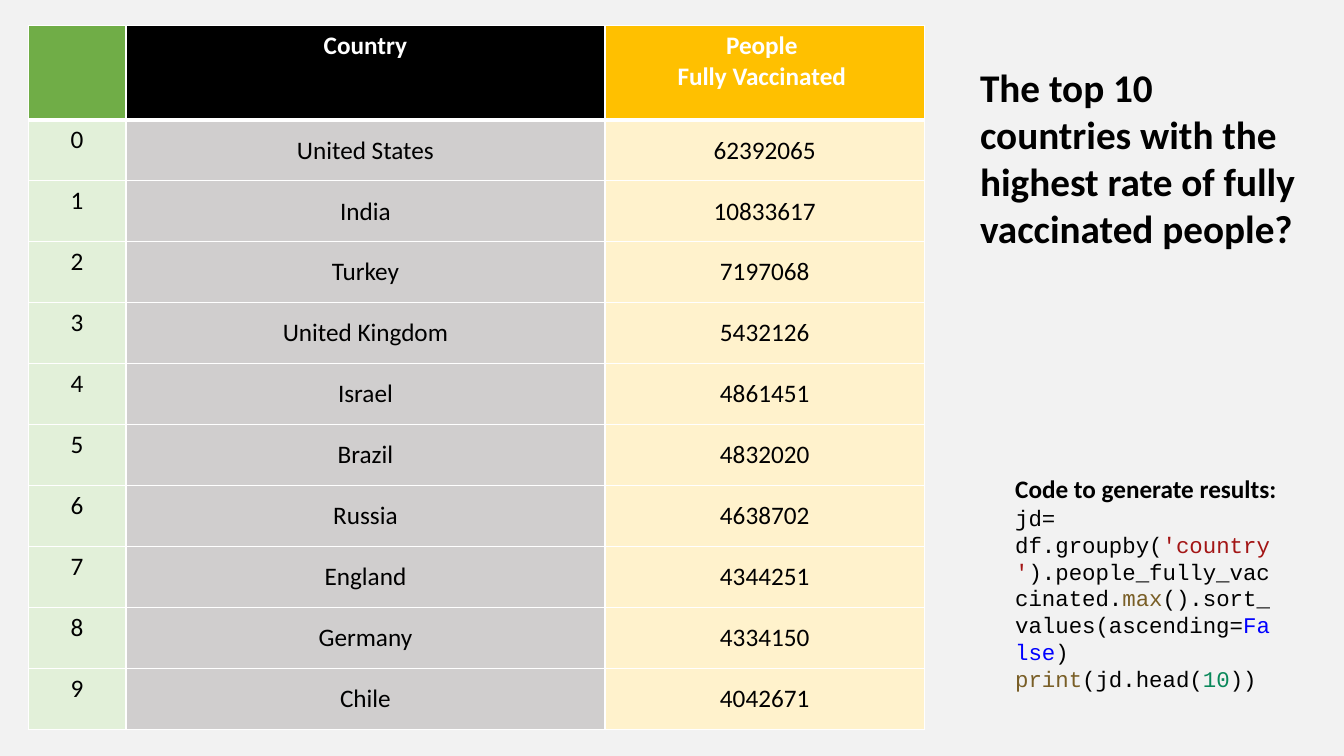
import pptx
import pptx.util
import pptx.dml.color
import pptx.enum.text
import pptx.oxml
import pptx.oxml.ns

Inches = pptx.util.Inches
ALIGN = pptx.enum.text.PP_ALIGN
ANCHOR = pptx.enum.text.MSO_ANCHOR

COLORS = {
    "background": "F2F2F2", "white": "FFFFFF", "black": "000000",
    "green": "70AD47", "gold": "FFC000",
    "pale green": "E2F0D9", "gray": "D0CECE", "pale gold": "FFF2CC",
    "string": "A31515", "function": "795E26", "keyword": "0000FF", "number": "09885A",
}
HEADERS = ["", "Country", "People \nFully Vaccinated "]
HEADER_FILLS = ["green", "black", "gold"]
BODY_FILLS = ["pale green", "gray", "pale gold"]
COUNTRIES = [
    ("United States", 62392065), ("India", 10833617), ("Turkey", 7197068),
    ("United Kingdom", 5432126), ("Israel", 4861451), ("Brazil", 4832020),
    ("Russia", 4638702), ("England", 4344251), ("Germany", 4334150), ("Chile", 4042671),
]
CODE_LINES = [
    [("jd= df.groupby(", "black"), ("'country'", "string"),
     (").people_fully_vaccinated.", "black"), ("max", "function"),
     ("().sort_values(ascending=", "black"), ("False", "keyword"), (")", "black")],
    [("print", "function"), ("(jd.head(", "black"), ("10", "number"), ("))", "black")],
]


def style_text(font, color, **values):
    font.color.rgb = pptx.dml.color.RGBColor.from_string(COLORS[color])
    for name, value in values.items():
        setattr(font, name, value)


def add_borders(cell, widths):
    properties = cell._tc.get_or_add_tcPr()
    for position, (side, points) in enumerate(widths.items()):
        properties.insert(position, pptx.oxml.parse_xml(
            f'<a:ln{side} {pptx.oxml.ns.nsdecls("a")} w="{pptx.util.Pt(points)}">'
            f'<a:solidFill><a:srgbClr val="{COLORS["white"]}"/></a:solidFill></a:ln{side}>'))


deck = pptx.Presentation()
deck.slide_width, deck.slide_height = Inches(13.33), Inches(7.5)
page = deck.slides.add_slide(deck.slide_layouts[5])
page.background.fill.solid()
page.background.fill.fore_color.rgb = pptx.dml.color.RGBColor.from_string(COLORS["background"])

calibri = {"name": "Calibri", "size": pptx.util.Pt(18)}
courier = {"name": "Courier New", "size": pptx.util.Pt(16), "bold": False}

# Vaccination table
rows = [HEADERS] + [(str(rank), country, str(people))
                    for rank, (country, people) in enumerate(COUNTRIES)]
table = page.shapes.add_table(len(rows), len(HEADERS), Inches(0.28), Inches(0.25),
                              Inches(8.89), Inches(6.99)).table
table.horz_banding = False
for column, width in zip(table.columns, [0.97, 4.75, 3.17]):
    column.width = Inches(width)
for row_index, texts in enumerate(rows):
    is_header = row_index == 0
    table.rows[row_index].height = Inches(0.94 if is_header else 0.605)
    fills = HEADER_FILLS if is_header else BODY_FILLS
    for column_index, text in enumerate(texts):
        cell = table.cell(row_index, column_index)
        cell.text = text
        cell.fill.solid()
        cell.fill.fore_color.rgb = pptx.dml.color.RGBColor.from_string(
            COLORS[fills[column_index]])
        cell.vertical_anchor = ANCHOR.TOP if is_header or column_index == 0 else ANCHOR.MIDDLE
        add_borders(cell, {"L": 1, "R": 1, "T": 3 if row_index == 1 else 1,
                           "B": 3 if is_header else 1})
        for para in cell.text_frame.paragraphs:
            para.alignment = ALIGN.CENTER
            for span in para.runs:
                style_text(span.font, "white" if is_header else "black",
                           bold=is_header, **calibri)

# Question
title = page.shapes.title
title.left, title.top, title.width, title.height = map(Inches, (9.62, 0.58, 3.49, 1.99))
title.text_frame.text = "The top 10 countries with the highest rate of fully vaccinated people?"
title.text_frame.word_wrap = True
title.text_frame.vertical_anchor = ANCHOR.TOP
title.text_frame.auto_size = pptx.enum.text.MSO_AUTO_SIZE.SHAPE_TO_FIT_TEXT
para = title.text_frame.paragraphs[0]
para.alignment = ALIGN.LEFT
style_text(para.runs[0].font, "black", name="Calibri", size=pptx.util.Pt(28), bold=True)

# Code
code_box = page.shapes.add_textbox(Inches(9.97), Inches(4.65), Inches(2.79), Inches(2.59))
code_box.text_frame.word_wrap = True
para = code_box.text_frame.paragraphs[0]
para.alignment = ALIGN.CENTER
span = para.add_run()
span.text = "Code to generate results: "
style_text(span.font, "black", bold=True, **calibri)
for line in CODE_LINES:
    para = code_box.text_frame.add_paragraph()
    for text, color in line:
        span = para.add_run()
        span.text = text
        style_text(span.font, color, **courier)

deck.save("out.pptx")
